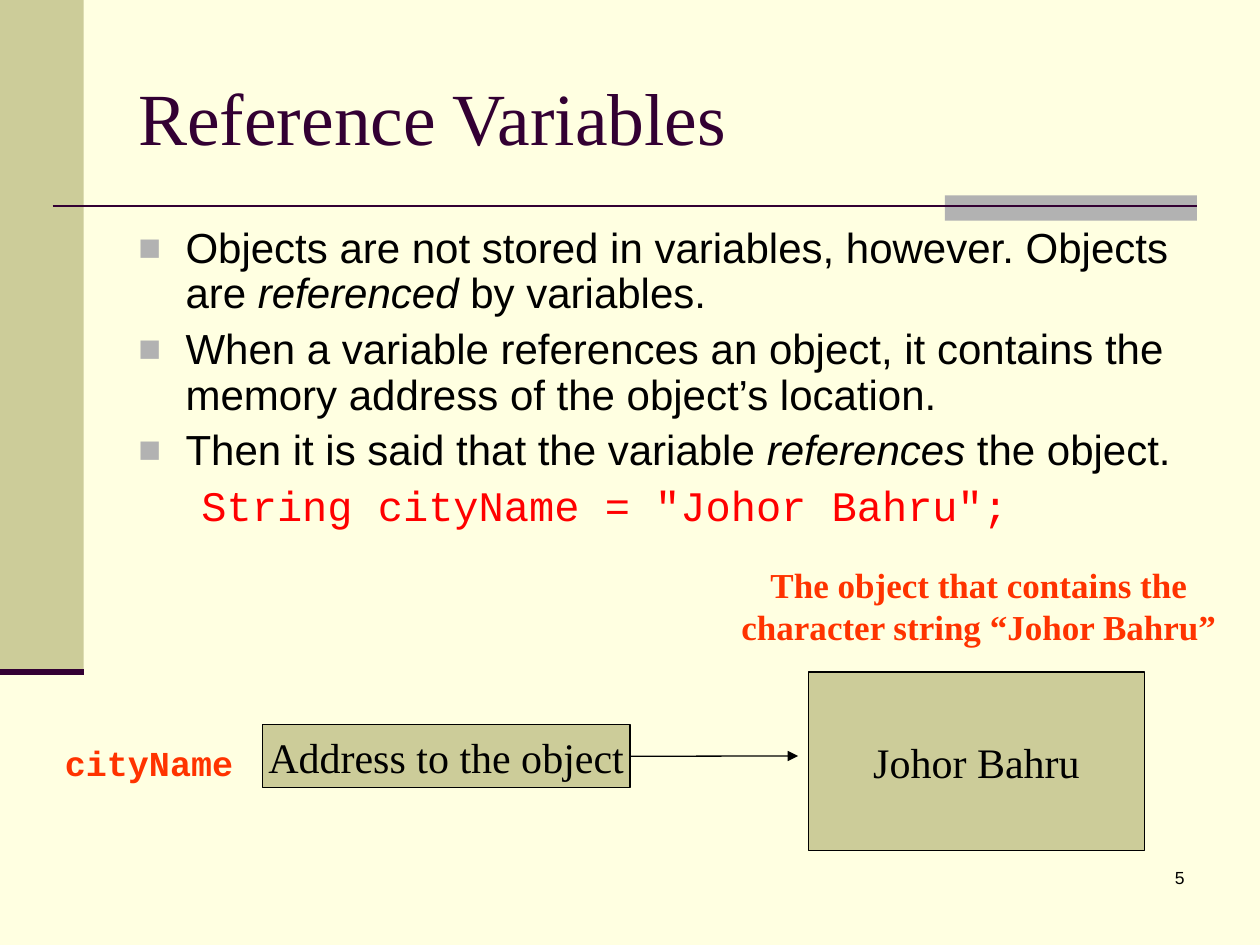
from dataclasses import dataclass

from pptx import Presentation
from pptx.dml.color import RGBColor
from pptx.enum import shapes as kinds, text as modes
from pptx.oxml import ns
from pptx.util import Cm, Pt
from lxml import etree


@dataclass(frozen=True)
class Theme:
    page: str = "FFFFE1"
    sand: str = "CCCC99"
    gray: str = "B2B2B2"
    plum: str = "330033"
    black: str = "000000"
    code: str = "FF0000"
    label: str = "FF3300"
    serif: str = "Times New Roman"
    sans: str = "Arial"
    mono: str = "Courier New"
    title: int = 42
    body: int = 24
    note: int = 20
    small: int = 10


THEME = Theme()
LEFT, MID, RIGHT = modes.PP_ALIGN.LEFT, modes.PP_ALIGN.CENTER, modes.PP_ALIGN.RIGHT
TOP, CENTER = modes.MSO_ANCHOR.TOP, modes.MSO_ANCHOR.MIDDLE


def rgb(color):
    return RGBColor.from_string(color)


def child(parent, tag, **attrs):
    return etree.SubElement(parent, ns.qn(tag), attrs)


def set_text(shape, text, size=THEME.body, face=THEME.serif, color=THEME.black,
             bold=False, align=LEFT, anchor=TOP, wrap=True):
    frame = shape.text_frame
    frame.auto_size = modes.MSO_AUTO_SIZE.NONE
    frame.word_wrap = wrap
    frame.vertical_anchor = anchor
    frame.margin_left = frame.margin_right = Cm(0.25)
    frame.margin_top = frame.margin_bottom = Cm(0.13)
    for i, line in enumerate(text.split("\n")):
        para = frame.paragraphs[0] if i == 0 else frame.add_paragraph()
        para.alignment = align
        for j, part in enumerate(line.split("*")):
            run = para.add_run()
            run.text = part
            font = run.font
            font.size, font.name, font.bold = Pt(size), face, bold
            font.italic = j % 2 == 1
            font.color.rgb = rgb(color)
    return frame.paragraphs


def add_label(slide, box, text, **style):
    set_text(slide.shapes.add_textbox(*map(Cm, box)), text, **style)


def add_box(slide, box, fill, text="", edge=None):
    shape = slide.shapes.add_shape(kinds.MSO_SHAPE.RECTANGLE, *map(Cm, box))
    shape.shadow.inherit = False
    shape.fill.solid()
    shape.fill.fore_color.rgb = rgb(fill)
    if edge:
        shape.line.color.rgb = rgb(edge)
        shape.line.width = Pt(0.75)
    else:
        shape.line.fill.background()
    if text:
        set_text(shape, text, align=MID, anchor=CENTER, wrap=False)
    return shape


def add_line(slide, x, y, end, color, width):
    line = slide.shapes.add_connector(
        kinds.MSO_CONNECTOR.STRAIGHT, Cm(x), Cm(y), Cm(end), Cm(y))
    line.line.color.rgb = rgb(color)
    line.line.width = Pt(width)
    child(line._element.spPr, "a:effectLst")
    return line


def place(shape, box):
    shape.left, shape.top, shape.width, shape.height = map(Cm, box)


def draw_frame(slide, box):
    x, y, wide, high = box
    band, base, rule, edge = 1.69, y + 13.55, y + 4.15, x + wide - 1.27
    add_box(slide, (x, y, band, base - y), THEME.sand)
    add_box(slide, (edge - 5.08, rule - 0.21, 5.08, 0.51), THEME.gray)
    add_line(slide, x + 1.06, rule, edge, THEME.plum, 1.5)
    add_line(slide, x, base, x + band, THEME.plum, 3.5)
    add_label(slide, (edge - 5.28, y + high - 1.7, 5.28, 1.27), "5",
              size=THEME.small, face=THEME.sans, align=RIGHT)


def draw_title(slide, box, text):
    place(slide.shapes.title, box)
    set_text(slide.shapes.title, text, size=THEME.title, color=THEME.plum,
             anchor=CENTER)


def draw_body(slide, box, points, code):
    body = slide.placeholders[1]
    place(body, box)
    paras = set_text(body, "\n".join(points + [code]), face=THEME.sans)
    for i, para in enumerate(paras):
        para.line_spacing = 0.9
        para.space_before = Pt(6 if i else 0)
        props = para._p.get_or_add_pPr()
        if i < len(points):
            indent, hang = Cm(0.95), Cm(-0.95)
            color = child(props, "a:buClr")
            child(color, "a:srgbClr", val=THEME.gray)
            child(props, "a:buSzPct", val="90000")
            child(props, "a:buFont", typeface=THEME.sans)
            child(props, "a:buChar", char="■")
        else:
            para.level = 1
            indent, hang = Cm(2.06), Cm(-0.79)
            child(props, "a:buNone")
            font = para.runs[0].font
            font.name, font.color.rgb = THEME.mono, rgb(THEME.code)
        props.set("marL", str(indent))
        props.set("indent", str(hang))


def draw_diagram(slide, box):
    x, y, wide, high = box
    note = dict(size=THEME.note, color=THEME.label, bold=True, wrap=False)
    add_box(slide, (x + 15.24, y + 2.32, 6.77, 3.6), THEME.sand,
            "Johor Bahru", THEME.black)
    source = add_box(slide, (x + 4.23, y + 3.38, 7.41, 1.27), THEME.sand,
                     "Address to the object", THEME.black)
    add_label(slide, (x, y + 3.59, 3.89, 1.12), "cityName",
              face=THEME.mono, **note)
    arrow = add_line(slide, x + 11.64, y + 4.01, x + 15.03, THEME.black, 0.75)
    arrow.begin_connect(source, 3)
    child(arrow.line._get_or_add_ln(), "a:tailEnd", type="triangle")
    add_label(slide, (x + wide - 10.11, y, 10.11, 1.96),
              "The object that contains the\ncharacter string “Johor Bahru”",
              align=MID, **note)


def main():
    deck = Presentation()
    deck.slide_width, deck.slide_height = Cm(25.4), Cm(19.05)
    slide = deck.slides.add_slide(deck.slide_layouts[1])
    slide.background.fill.solid()
    slide.background.fill.fore_color.rgb = rgb(THEME.page)
    draw_frame(slide, (0, 0, 25.4, 19.05))
    draw_title(slide, (2.54, 0.76, 21.59, 3.18), "Reference Variables")
    draw_body(slide, (2.54, 4.45, 21.59, 12.57), [
        "Objects are not stored in variables, however. Objects are "
        "*referenced* by variables.",
        "When a variable references an object, it contains the memory "
        "address of the object’s location.",
        "Then it is said that the variable *references* the object.",
    ], 'String cityName = "Johor Bahru";')
    draw_diagram(slide, (1.06, 11.23, 23.73, 5.92))
    deck.save("out.pptx")


if __name__ == "__main__":
    main()
